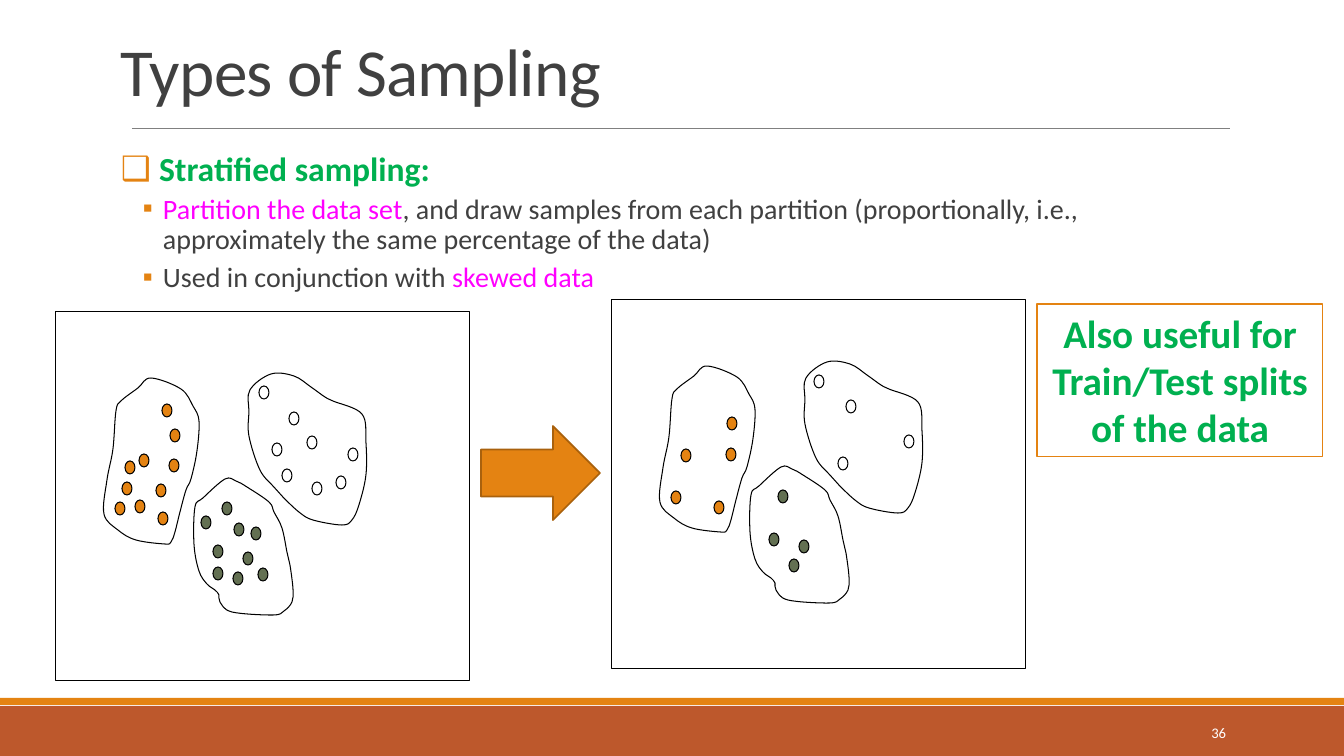
from lxml import etree
from pptx import Presentation
from pptx import util as u
from pptx.dml.color import RGBColor
from pptx.enum import shapes, text
from pptx.oxml.ns import qn

PX = 12192000 / 1344
WHITE = RGBColor(0xFF, 0xFF, 0xFF)
BLACK = RGBColor(0, 0, 0)
GRAY = RGBColor(0x80, 0x80, 0x80)
INK = RGBColor(0x40, 0x40, 0x40)
ORANGE = RGBColor(0xE4, 0x83, 0x12)
BROWN = RGBColor(0xA9, 0x61, 0x0D)
RUST = RGBColor(0xBD, 0x58, 0x2C)
OLIVE = RGBColor(0x63, 0x70, 0x52)
GREEN = RGBColor(0, 0xB0, 0x50)
MAGENTA = RGBColor(0xFF, 0, 0xFF)
KIND = shapes.MSO_SHAPE


def add_shape(parent, kind, box, fill=None, line=None, width=0.75):
    sp = parent.add_shape(kind, *[round(v * PX) for v in box])
    sp.shadow.inherit = False
    if fill is None:
        sp.fill.background()
    else:
        sp.fill.solid()
        sp.fill.fore_color.rgb = fill
    if line is None:
        sp.line.fill.background()
    else:
        sp.line.color.rgb = line
        sp.line.width = u.Pt(width)
    return sp


def round_corners(sp):
    """Turn the straight segments of a closed freeform into smooth Bézier curves."""
    start = sp._element.find(".//" + qn("a:moveTo"))
    segments = list(sp._element.iter(qn("a:lnTo")))
    knots = [(int(seg[0].get("x")), int(seg[0].get("y"))) for seg in [start] + segments]
    if knots[-1] == knots[0]:
        knots.pop()
    n = len(knots)
    for i, seg in enumerate(segments):
        a, b, c, d = [knots[(i + k) % n] for k in (-1, 0, 1, 2)]
        leave = [q + (r - p) / 6 for p, q, r in zip(a, b, c)]
        arrive = [r - (s - q) / 6 for q, r, s in zip(b, c, d)]
        curve = etree.Element(qn("a:cubicBezTo"))
        for x, y in (leave, arrive, c):
            etree.SubElement(curve, qn("a:pt"), x=str(round(x)), y=str(round(y)))
        seg.getparent().replace(seg, curve)


prs = Presentation()
prs.slide_width, prs.slide_height = round(1344 * PX), round(756 * PX)
s = prs.slides.add_slide(prs.slide_layouts[6])

# Footer bands and title rule
add_shape(s.shapes, KIND.RECTANGLE, (0, 706, 1344, 50), RUST)
add_shape(s.shapes, KIND.RECTANGLE, (0, 698, 1344, 7), ORANGE)
rule = s.shapes.add_connector(shapes.MSO_CONNECTOR.STRAIGHT,
                              *[round(v * PX) for v in (132, 128, 1230, 128)])
rule.line.color.rgb = GRAY
rule.line.width = u.Pt(0.5)
etree.SubElement(rule.element.spPr, qn("a:effectLst"))

# Title and slide number
for words, box, size, color, anchor, align in [
    ("Types of Sampling", (111, 6, 1109, 109), 48, INK,
     text.MSO_ANCHOR.BOTTOM, text.PP_ALIGN.LEFT),
    ("36", (1092, 713, 144, 40), 10.5, WHITE,
     text.MSO_ANCHOR.MIDDLE, text.PP_ALIGN.RIGHT),
]:
    tf = s.shapes.add_textbox(*[round(v * PX) for v in box]).text_frame
    tf.word_wrap = True
    tf.vertical_anchor = anchor
    p = tf.paragraphs[0]
    p.text = words
    p.alignment = align
    r = p.runs[0]
    r.font.name, r.font.size, r.font.color.rgb = "Calibri", u.Pt(size), color
    if size == 48:
        p.line_spacing = 0.85
        r.font._element.set("spc", "-50")

# Bullets: mark, text indent, hanging, size, space before, space after, runs
bullets = [
    ("❑", 38, 38, 24, 0, 2, [("Stratified sampling:", GREEN)]),
    ("▪", 42, 20, 20, 2, 4, [
        ("Partition the data set", MAGENTA),
        (", and draw samples from each partition (proportionally, i.e., "
         "approximately the same percentage of the data)", INK)]),
    ("▪", 42, 20, 20, 2, 4, [
        ("Used in conjunction with ", INK), ("skewed data", MAGENTA)]),
]
tf = s.shapes.add_textbox(*[round(v * PX) for v in (121, 148, 1109, 499)]).text_frame
tf.word_wrap = True
tf.margin_left = tf.margin_right = 0
for i, (mark, indent, hanging, size, before, after, runs) in enumerate(bullets):
    p = tf.add_paragraph() if i else tf.paragraphs[0]
    p.level = min(i, 1)
    p.line_spacing = 0.9
    p.space_before, p.space_after = u.Pt(before), u.Pt(after)
    pPr = p._p.get_or_add_pPr()
    pPr.set("marL", str(round(indent * PX)))
    pPr.set("indent", str(round(-hanging * PX)))
    color = etree.SubElement(pPr, qn("a:buClr"))
    etree.SubElement(color, qn("a:srgbClr"), val=str(ORANGE))
    etree.SubElement(pPr, qn("a:buFont"), typeface="Calibri")
    etree.SubElement(pPr, qn("a:buChar"), char=mark)
    for words, ink in runs:
        r = p.add_run()
        r.text = words
        r.font.name, r.font.size, r.font.color.rgb = "Calibri", u.Pt(size), ink
        r.font.bold = i == 0

# Strata outlines, placed for the left panel
outlines = [
    [(362, 414), (366, 442), (366, 475), (359, 505), (352, 520), (342, 525),
     (313, 520), (299, 512), (283, 497), (274, 487), (260, 470), (249, 436),
     (249, 412), (250, 390), (271, 374), (294, 376), (311, 387), (325, 397),
     (333, 401)],
    [(219, 595), (215, 590), (207, 584), (199, 571), (194, 544), (195, 507),
     (203, 498), (225, 479), (236, 481), (247, 487), (269, 502), (274, 512),
     (282, 528), (287, 552), (290, 565), (293, 589), (292, 602), (284, 611),
     (273, 615), (232, 612), (220, 602)],
    [(186, 490), (180, 512), (175, 532), (171, 542), (165, 544), (136, 540),
     (118, 530), (104, 514), (107, 480), (113, 449), (116, 411), (121, 401),
     (138, 388), (151, 378), (181, 389), (193, 406), (199, 421), (197, 451),
     (191, 479)],
]
population = {
    WHITE: [(289, 412), (282, 469), (307, 436), (272, 443), (348, 448),
            (336, 476), (312, 482), (259, 386)],
    OLIVE: [(201, 516), (251, 527), (233, 572), (243, 552), (213, 545),
            (213, 567), (222, 502), (234, 523), (258, 568)],
    ORANGE: [(135, 500), (122, 482), (156, 484), (139, 454), (115, 502),
             (125, 461), (158, 512), (169, 459), (170, 429), (162, 404)],
}
sample = {
    WHITE: [(846, 400), (838, 457), (904, 435), (814, 375)],
    OLIVE: [(789, 559), (799, 540), (769, 533), (778, 490)],
    ORANGE: [(671, 491), (681, 449), (714, 501), (726, 448), (727, 417)],
}
for dots, dx, dy in [(population, 0, 0), (sample, 556, -12)]:
    panel = s.shapes.add_group_shape().shapes
    add_shape(panel, KIND.RECTANGLE, (56 + dx, 312 + dy, 414, 369), line=BLACK)
    for color, corners in dots.items():
        for x, y in corners:
            add_shape(panel, KIND.FLOWCHART_CONNECTOR, (x, y, 10, 13), color, BLACK)
    for knots in outlines:
        points = [((x + dx) * PX, (y + dy) * PX) for x, y in knots]
        fb = panel.build_freeform(*points[0])
        fb.add_line_segments(points[1:] + points[:1], close=True)
        stratum = fb.convert_to_shape()
        round_corners(stratum)
        stratum.shadow.inherit = False
        stratum.fill.background()
        stratum.line.color.rgb = BLACK
        stratum.line.width = u.Pt(0.75)

add_shape(s.shapes, KIND.RIGHT_ARROW, (481, 426, 119, 94), ORANGE, BROWN, 1.25)

# Callout
callout = add_shape(s.shapes, KIND.RECTANGLE, (1037, 304, 286, 153), line=ORANGE)
tf = callout.text_frame
tf.word_wrap = True
tf.vertical_anchor = text.MSO_ANCHOR.TOP
tf.text = "Also useful for Train/Test splits of the data"
p = tf.paragraphs[0]
p.alignment = text.PP_ALIGN.CENTER
r = p.runs[0]
r.font.name, r.font.size, r.font.bold = "Calibri", u.Pt(28), True
r.font.color.rgb = GREEN

prs.save("out.pptx")
